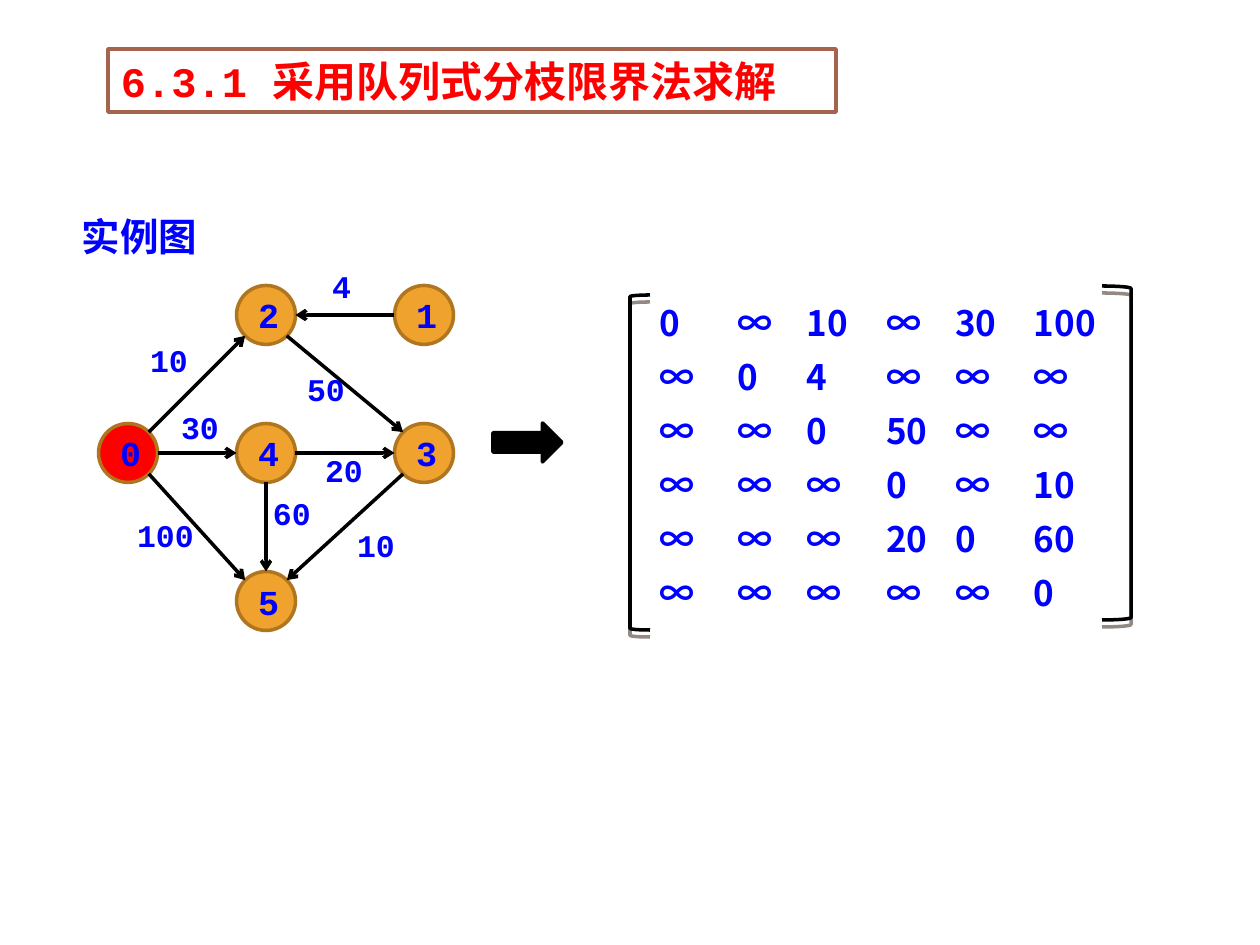
"""Build the slide showing a weighted directed graph and its adjacency matrix."""
from lxml.etree import SubElement
from pptx import Presentation
from pptx.dml.color import RGBColor
from pptx.enum.shapes import MSO_CONNECTOR, MSO_SHAPE
from pptx.enum.text import MSO_ANCHOR, MSO_AUTO_SIZE, PP_ALIGN
from pptx.oxml.ns import qn
from pptx.util import Pt

SCALE = 914400 / 126
LINE_WIDTH = Pt(2)
MONO, SANS = "Courier New", "Noto Sans CJK SC"
COLORS = {
    "white": "FFFFFF", "black": "000000", "red": "FF0000", "blue": "0000FF",
    "frame": "A5644E", "node": "F0A22E", "ring": "B0761F", "shadow": "4E3B30",
}


def px(*lengths):
    return [round(length * SCALE) for length in lengths]


def write(shape, text, size, font=MONO, color="blue", side=13,
          align=PP_ALIGN.LEFT, anchor=MSO_ANCHOR.TOP):
    frame = shape.text_frame
    frame.text = text
    frame.word_wrap = True
    frame.auto_size = MSO_AUTO_SIZE.NONE
    frame.vertical_anchor = anchor
    frame.margin_left, frame.margin_right = px(side, side)
    frame.margin_top, frame.margin_bottom = px(6, 6)
    paragraph = frame.paragraphs[0]
    paragraph.alignment = align
    run = paragraph.runs[0]
    run.font.size = Pt(size)
    run.font.bold = True
    run.font.color.rgb = RGBColor.from_string(COLORS[color])
    run.font.name = font
    SubElement(run.font._element, qn("a:ea"), typeface=SANS)


presentation = Presentation()
presentation.slide_width, presentation.slide_height = px(1260, 945)
slide = presentation.slides.add_slide(presentation.slide_layouts[5])

title = slide.shapes.title
title.left, title.top, title.width, title.height = px(108, 49, 728, 63)
title.fill.solid()
title.fill.fore_color.rgb = RGBColor.from_string(COLORS["white"])
title.line.color.rgb = RGBColor.from_string(COLORS["frame"])
title.line.width = LINE_WIDTH
write(title, "6.3.1 采用队列式分枝限界法求解", 24, color="red")

heading = slide.shapes.add_textbox(*px(69, 207, 178, 59))
write(heading, "实例图", 22)

RADIUS = 29.5
centers = {
    "0": (128, 453), "2": (266, 315), "4": (266, 453),
    "3": (424, 453), "5": (266, 601), "1": (424, 315),
}
for name, (x, y) in centers.items():
    node = slide.shapes.add_shape(
        MSO_SHAPE.OVAL, *px(x - RADIUS, y - RADIUS, 2 * RADIUS, 2 * RADIUS))
    node.shadow.inherit = False
    node.fill.solid()
    node.fill.fore_color.rgb = RGBColor.from_string(COLORS["red" if name == "0" else "node"])
    node.line.color.rgb = RGBColor.from_string(COLORS["ring"])
    node.line.width = LINE_WIDTH
    write(node, name, 20, align=PP_ALIGN.CENTER, anchor=MSO_ANCHOR.MIDDLE)

edges = [
    ("0", "2", "10", 137, 335), ("0", "5", "100", 137, 510),
    ("0", "4", "30", 168, 402), ("2", "3", "50", 294, 364),
    ("4", "3", "20", 312, 445), ("3", "5", "10", 344, 520),
    ("1", "2", "4", 319, 261), ("4", "5", "60", 260, 488),
]
for source, target, weight, label_left, label_top in edges:
    (x1, y1), (x2, y2) = centers[source], centers[target]
    step_x = (x2 > x1) - (x2 < x1)
    step_y = (y2 > y1) - (y2 < y1)
    reach = RADIUS / (step_x ** 2 + step_y ** 2) ** 0.5
    edge = slide.shapes.add_connector(
        MSO_CONNECTOR.STRAIGHT,
        *px(x1 + reach * step_x, y1 + reach * step_y,
            x2 - reach * step_x, y2 - reach * step_y))
    edge.line.color.rgb = RGBColor.from_string(COLORS["black"])
    edge.line.width = LINE_WIDTH
    SubElement(edge.line._get_or_add_ln(), qn("a:tailEnd"), type="arrow")
    SubElement(edge._element.spPr, qn("a:effectLst"))
    label = slide.shapes.add_textbox(*px(label_left, label_top, 69, 50))
    write(label, weight, 18, side=0 if len(weight) == 3 else 13)

matrix = slide.shapes.add_group_shape()
rows = [
    "0 ∞ 10 ∞ 30 100",
    "∞ 0 4 ∞ ∞ ∞",
    "∞ ∞ 0 50 ∞ ∞",
    "∞ ∞ ∞ 0 ∞ 10",
    "∞ ∞ ∞ 20 0 60",
    "∞ ∞ ∞ ∞ ∞ 0",
]
for row, values in enumerate(rows):
    for column, value in enumerate(values.split()):
        left = 659 + 148 * (column // 2) + 79 * (column % 2)
        entry = matrix.shapes.add_textbox(*px(left, 295 + 54 * row, 69, 55))
        write(entry, value, 20, font=SANS, side=0)

brackets = [
    (MSO_SHAPE.LEFT_BRACKET, (630, 295, 20, 335)),
    (MSO_SHAPE.RIGHT_BRACKET, (1102, 286, 29, 334)),
]
for kind, box in brackets:
    bracket = matrix.shapes.add_shape(kind, *px(*box))
    bracket.fill.background()
    bracket.line.color.rgb = RGBColor.from_string(COLORS["black"])
    bracket.line.width = LINE_WIDTH
    bracket.shadow.inherit = False
    effects = bracket._element.spPr.find(qn("a:effectLst"))
    shadow = SubElement(effects, qn("a:outerShdw"), blurRad="0", dist=str(Pt(4)),
                        dir="5400000", algn="ctr", rotWithShape="0")
    tint = SubElement(shadow, qn("a:srgbClr"), val=COLORS["shadow"])
    SubElement(tint, qn("a:alpha"), val="60000")

arrow = slide.shapes.add_shape(MSO_SHAPE.RIGHT_ARROW, *px(493, 423, 69, 39))
arrow.shadow.inherit = False
arrow.fill.solid()
arrow.fill.fore_color.rgb = RGBColor.from_string(COLORS["black"])
arrow.line.color.rgb = RGBColor.from_string(COLORS["black"])
arrow.line.width = LINE_WIDTH

presentation.save("out.pptx")
